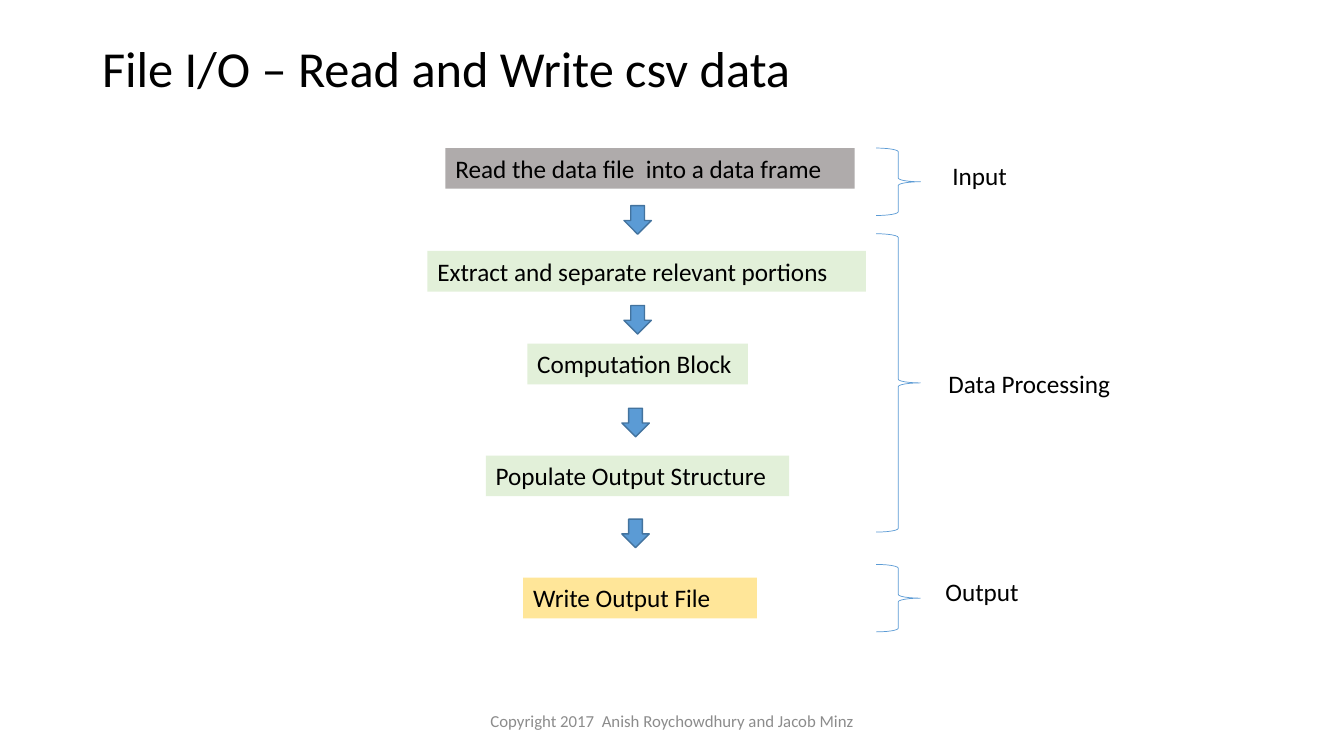
from dataclasses import dataclass

from pptx import Presentation
from pptx.dml.color import RGBColor
from pptx.enum.shapes import MSO_SHAPE
from pptx.enum.text import MSO_ANCHOR, PP_ALIGN
from pptx.util import Pt

RECTANGLE = MSO_SHAPE.RECTANGLE
DOWN_ARROW = MSO_SHAPE.DOWN_ARROW
RIGHT_BRACE = MSO_SHAPE.RIGHT_BRACE
TOP, MIDDLE = MSO_ANCHOR.TOP, MSO_ANCHOR.MIDDLE
LEFT, CENTER = PP_ALIGN.LEFT, PP_ALIGN.CENTER


@dataclass(frozen=True)
class Theme:
    font: str = "Calibri"
    title_size: int = 36
    body_size: int = 18
    footer_size: int = 12
    text: str = "000000"
    footer: str = "8C8C8C"
    input: str = "AFABAB"
    processing: str = "E2F0D9"
    output: str = "FFE699"
    accent: str = "5B9BD5"
    arrow_line: str = "43739E"


THEME = Theme()

TITLE = "File I/O – Read and Write csv data"
FOOTER = "Copyright 2017  Anish Roychowdhury and Jacob Minz"

# text, fill, left, top, width
STEPS = [
    ("Read the data file  into a data frame", THEME.input, 318.2, 105.8, 292.3),
    ("Extract and separate relevant portions", THEME.processing, 305.3, 179.3, 313.2),
    ("Computation Block", THEME.processing, 376.6, 245.5, 157.7),
    ("Populate Output Structure", THEME.processing, 347, 325.4, 216.7),
    ("Write Output File", THEME.output, 373.7, 412.6, 167),
]
# left, top
ARROWS = [(445.7, 146.9), (445.7, 218.2), (444.2, 291.6), (444.2, 370.8)]
# label, label left, label top, label width, brace top, brace height
STAGES = [
    ("Input", 673.2, 110.9, 72, 105.8, 48.2),
    ("Data Processing", 670.3, 259.2, 140.4, 167, 213.1),
    ("Output", 668.2, 408.2, 72, 403.2, 48.2),
]
STEP_HEIGHT = 29.08
ARROW_WIDTH, ARROW_HEIGHT = 19.6, 20.4
BRACE_LEFT, BRACE_WIDTH = 625.8, 31.7


def write(box, text, size=THEME.body_size, color=THEME.text,
          align=LEFT, anchor=TOP, line_spacing=None):
    frame = box.text_frame
    frame.word_wrap = True
    frame.vertical_anchor = anchor
    para = frame.paragraphs[0]
    para.alignment = align
    para.line_spacing = line_spacing
    span = para.add_run()
    span.text = text
    span.font.name = THEME.font
    span.font.size = Pt(size)
    span.font.color.rgb = RGBColor.from_string(color)


def add_text(page, text, left, top, width, height, **text_format):
    box = page.shapes.add_textbox(Pt(left), Pt(top), Pt(width), Pt(height))
    write(box, text, **text_format)


def add_preset(page, preset, left, top, width, height,
               fill=None, line=None, line_width=1):
    shape = page.shapes.add_shape(preset, Pt(left), Pt(top), Pt(width), Pt(height))
    shape.shadow.inherit = False
    if fill:
        shape.fill.solid()
        shape.fill.fore_color.rgb = RGBColor.from_string(fill)
    else:
        shape.fill.background()
    if line:
        shape.line.color.rgb = RGBColor.from_string(line)
        shape.line.width = Pt(line_width)
    else:
        shape.line.fill.background()
    return shape


def main():
    deck = Presentation()
    deck.slide_width, deck.slide_height = Pt(960), Pt(540)
    page = deck.slides.add_slide(deck.slide_layouts[6])

    add_text(page, TITLE, 65.8, 23.8, 864.7, 54,
             size=THEME.title_size, anchor=MIDDLE, line_spacing=0.9)
    for text, fill, left, top, width in STEPS:
        step = add_preset(page, RECTANGLE, left, top, width, STEP_HEIGHT, fill=fill)
        write(step, text)
    for left, top in ARROWS:
        add_preset(page, DOWN_ARROW, left, top, ARROW_WIDTH, ARROW_HEIGHT,
                   fill=THEME.accent, line=THEME.arrow_line)
    for label, left, top, width, brace_top, brace_height in STAGES:
        add_preset(page, RIGHT_BRACE, BRACE_LEFT, brace_top, BRACE_WIDTH, brace_height,
                   line=THEME.accent, line_width=0.5)
        add_text(page, label, left, top, width, STEP_HEIGHT)
    add_text(page, FOOTER, 318.2, 500.5, 324, 28.8, size=THEME.footer_size,
             color=THEME.footer, align=CENTER, anchor=MIDDLE)

    deck.save("out.pptx")


if __name__ == "__main__":
    main()
